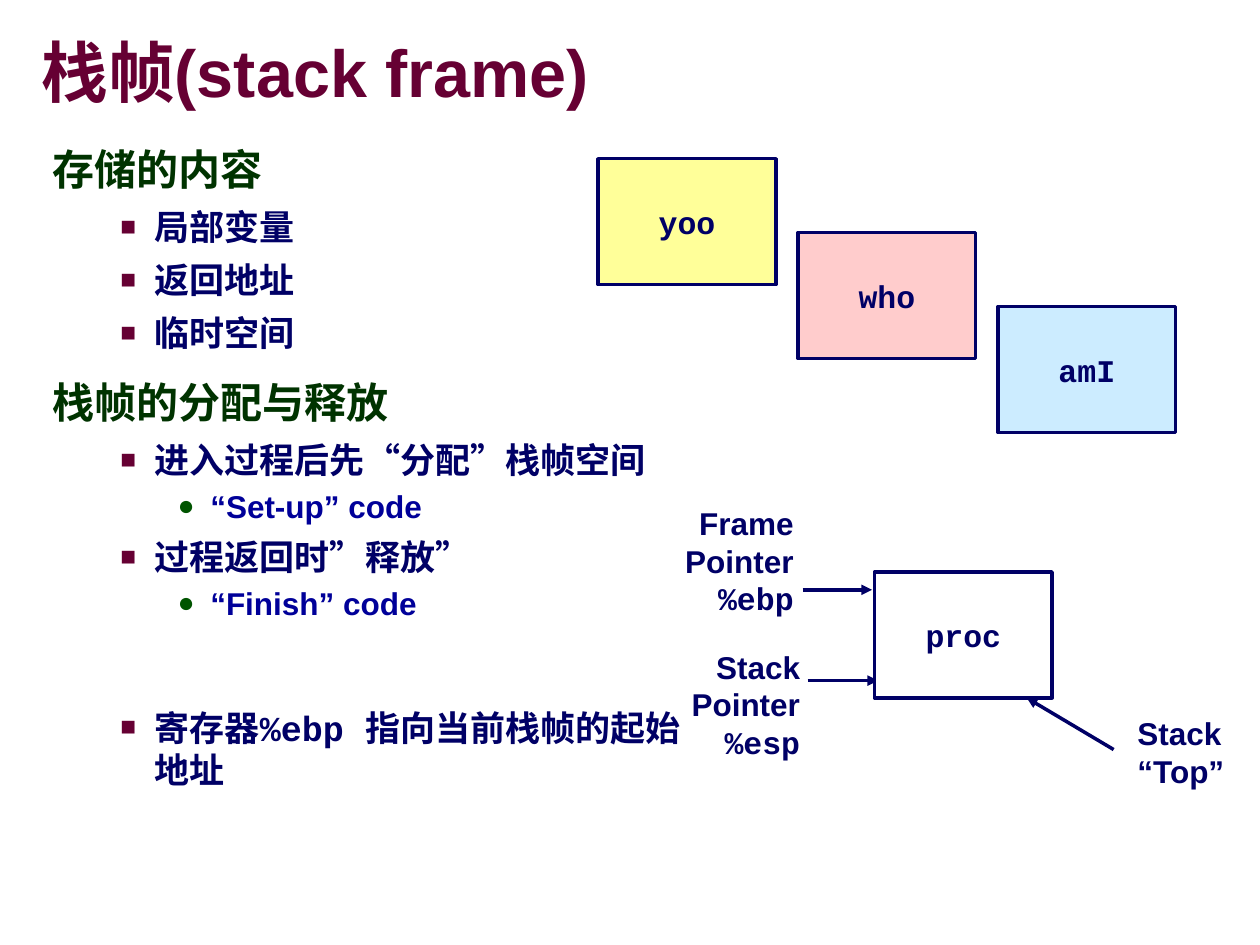
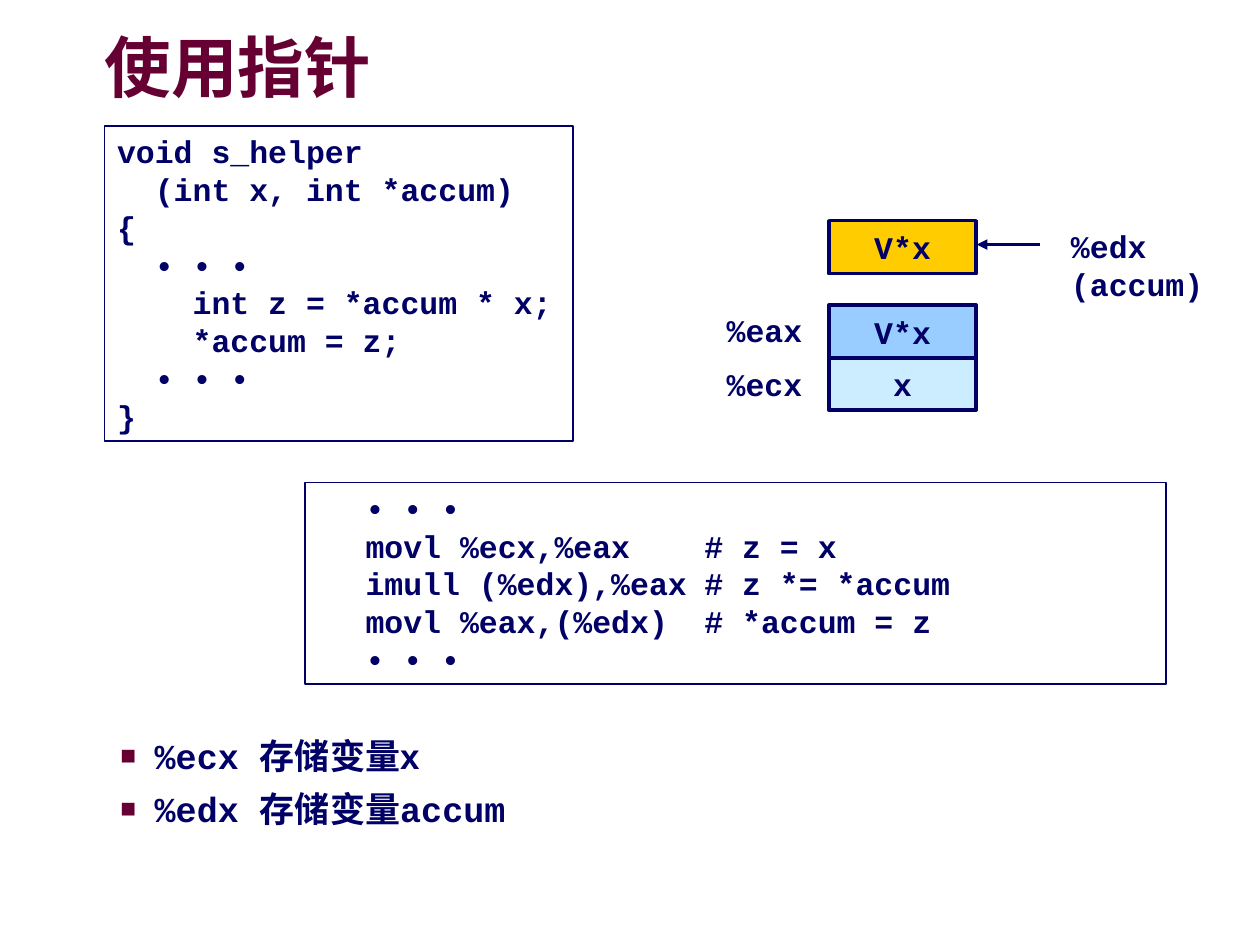
"""Builds two lecture slides on stack frames and pointers."""
from lxml import etree
from pptx import Presentation
from pptx.dml.color import RGBColor
from pptx.enum.shapes import MSO_CONNECTOR, MSO_SHAPE
from pptx.enum.text import MSO_ANCHOR, MSO_AUTO_SIZE, PP_ALIGN
from pptx.oxml.ns import qn
from pptx.util import Cm, Pt

LEFT, MID, RIGHT = PP_ALIGN.LEFT, PP_ALIGN.CENTER, PP_ALIGN.RIGHT
TOP, CENTER = MSO_ANCHOR.TOP, MSO_ANCHOR.MIDDLE
FIXED = MSO_AUTO_SIZE.NONE
RECT, LINE = MSO_SHAPE.RECTANGLE, MSO_CONNECTOR.STRAIGHT


class Theme:
    sans, mono = "Arial", "Courier New"
    navy = RGBColor.from_string("000066")
    blue = RGBColor.from_string("000099")
    wine = RGBColor.from_string("660033")
    green = RGBColor.from_string("003300")
    yellow = RGBColor.from_string("FFFF99")
    pink = RGBColor.from_string("FFCCCC")
    sky = RGBColor.from_string("CCECFF")
    azure = RGBColor.from_string("99CCFF")
    gold = RGBColor.from_string("FFCC00")
    white = RGBColor.from_string("FFFFFF")
    leaf, shade = "005400", "969696"
    title, head, item, text = Pt(38), Pt(24), Pt(20), Pt(18)
    thick, thin = Pt(2), Pt(1)


def put(slide, at, rows, face=Theme.mono, align=LEFT, fill=None, line=None, anchor=TOP):
    """Add a text box, or a rectangle if a line width is given."""
    place = [Cm(n) for n in at]
    if line:
        shape = slide.shapes.add_shape(RECT, *place)
        shape.shadow.inherit = False
        shape.line.color.rgb = Theme.navy
        shape.line.width = line
        if fill is None:
            shape.fill.background()
        else:
            shape.fill.solid()
            shape.fill.fore_color.rgb = fill
    else:
        shape = slide.shapes.add_textbox(*place)
    frame = shape.text_frame
    frame.word_wrap = False
    frame.auto_size = FIXED
    frame.vertical_anchor = anchor
    frame.text = "\n".join(rows)
    for para in frame.paragraphs:
        para.alignment = align
        para.font.name = face
        para.font.size = Theme.text
        para.font.bold = True
        para.font.color.rgb = Theme.navy
    return frame


def arrow(slide, *ends):
    """Add a line with an arrowhead at its end."""
    link = slide.shapes.add_connector(LINE, *[Cm(n) for n in ends])
    link.line.color.rgb = Theme.navy
    link.line.width = Theme.thick
    etree.SubElement(link.line._get_or_add_ln(), qn("a:tailEnd"), type="triangle")
    etree.SubElement(link._element.spPr, qn("a:effectLst"))


levels = [
    (Theme.head, Theme.green, 15, 0.95, 1.07, 1.07, None),
    (Theme.item, Theme.navy, 6.2, 1.0, 2.06, 0.69, ("■", str(Theme.wine), "75000")),
    (Theme.text, Theme.blue, 2.2, 1.07, 3.18, 0.66, ("●", Theme.leaf, "90000")),
]
pages = [
    ("栈帧(stack frame)", (0.84, 0.74, 13.97, 1.6), (0.81, 2.84, 13.39, 14.5), [
        (0, ["存储的内容"], 0),
        (1, ["局部变量"], None),
        (1, ["返回地址"], None),
        (1, ["临时空间"], None),
        (0, ["栈帧的分配与释放"], None),
        (1, ["进入过程后先“分配”栈帧空间"], None),
        (2, ["“Set-up” code"], None),
        (1, ["过程返回时”释放”"], None),
        (2, ["“Finish” code"], None),
        (1, ["寄存器", "%ebp ", "指向当前栈帧的起始地址"], 48),
    ]),
    ("使用指针", (2.11, 0.64, 14.88, 1.6), (0.81, 14.68, 23.09, 3.23), [
        (1, ["%ecx ", "存储变量x"], 0),
        (1, ["%edx ", "存储变量", "accum"], None),
    ]),
]

deck = Presentation()
deck.slide_width, deck.slide_height = Cm(25.4), Cm(19.05)

for title, spot, area, rows in pages:
    slide = deck.slides.add_slide(deck.slide_layouts[5])
    head = slide.shapes.title
    head.left, head.top, head.width, head.height = [Cm(n) for n in spot]
    frame = head.text_frame
    frame.text = title
    frame.auto_size = FIXED
    frame.vertical_anchor = CENTER
    frame.margin_left = frame.margin_right = frame.margin_top = frame.margin_bottom = 0
    para = frame.paragraphs[0]
    para.alignment = LEFT
    para.line_spacing = 0.87
    para.font.name = Theme.sans
    para.font.size = Theme.title
    para.font.bold = True
    para.font.color.rgb = Theme.wine
    props = para.runs[0]._r.get_or_add_rPr()
    glow = etree.SubElement(props, qn("a:effectLst"))
    cast = etree.SubElement(glow, qn("a:outerShdw"), dist="53882", dir="2700000")
    etree.SubElement(cast, qn("a:srgbClr"), val=Theme.shade)

    frame = slide.shapes.add_textbox(*[Cm(n) for n in area]).text_frame
    frame.word_wrap = True
    for n, (level, parts, gap) in enumerate(rows):
        size, color, before, space, left, hang, mark = levels[level]
        para = frame.paragraphs[0] if n == 0 else frame.add_paragraph()
        para.space_before = Pt(before if gap is None else gap)
        para.line_spacing = space
        props = para._p.get_or_add_pPr()
        props.set("marL", str(Cm(left)))
        props.set("indent", str(-Cm(hang)))
        if mark:
            sign, tint, scale = mark
            paint = etree.SubElement(props, qn("a:buClr"))
            etree.SubElement(paint, qn("a:srgbClr"), val=tint)
            etree.SubElement(props, qn("a:buSzPct"), val=scale)
            etree.SubElement(props, qn("a:buFont"), typeface=Theme.sans)
            etree.SubElement(props, qn("a:buChar"), char=sign)
        para.font.size = size
        para.font.bold = True
        para.font.color.rgb = color
        para.font.name = Theme.sans
        for part in parts:
            run = para.add_run()
            run.text = part
            if part.isascii():
                run.font.name = Theme.mono

stack, code = deck.slides

for ends in [(16.28, 13.72, 17.7, 13.72), (16.18, 11.89, 17.58, 11.89), (22.45, 15.11, 20.7, 14.07)]:
    arrow(stack, *ends)
for n, (name, fill) in enumerate([("yoo", Theme.yellow), ("who", Theme.pink), ("amI", Theme.sky)]):
    at = (12.06 + 4.03 * n, 3.2 + 1.49 * n, 3.58, 2.54)
    put(stack, at, [name], align=MID, fill=fill, line=Theme.thick, anchor=CENTER)
put(stack, (17.63, 11.53, 3.58, 2.54), ["proc"], align=MID, fill=Theme.white,
    line=Theme.thick, anchor=CENTER)
for left, top, kind, reg in [(13.56, 10.03, "Frame", "%ebp"), (13.69, 12.93, "Stack", "%esp")]:
    frame = put(stack, (left, top, 2.69, 2.54), [kind, "Pointer", reg], Theme.sans, RIGHT)
    frame.paragraphs[2].font.name = Theme.mono
put(stack, (22.68, 14.27, 2.31, 1.78), ["Stack", "“Top”"], Theme.sans)

put(code, (2.11, 2.54, 9.45, 6.35), [
    "void s_helper",
    "  (int x, int *accum)",
    "{",
    "  • • •",
    "    int z = *accum * x;",
    "    *accum = z;",
    "  • • •",
    "}",
], line=Theme.thin)
frame = put(code, (6.15, 9.73, 17.35, 4.06), [
    "\t• • •",
    "\tmovl %ecx,%eax\t# z = x",
    "\timull (%edx),%eax\t# z *= *accum",
    "\tmovl %eax,(%edx)\t# *accum = z",
    "\t• • •",
], line=Theme.thin)
for para in frame.paragraphs:
    props = para._p.get_or_add_pPr()
    tabs = etree.Element(qn("a:tabLst"))
    for stop in (0.97, 7.8):
        etree.SubElement(tabs, qn("a:tab"), pos=str(Cm(stop)), algn="l")
    props.find(qn("a:defRPr")).addprevious(tabs)

arrow(code, 20.96, 4.93, 19.69, 4.93)
put(code, (21.34, 4.45, 3.18, 1.78), ["%edx", "(accum)"])
for top, name, fill in [(4.45, "V*x", Theme.gold), (7.2, "x", Theme.sky), (6.15, "V*x", Theme.azure)]:
    put(code, (16.71, top, 2.97, 1.07), [name], align=MID, fill=fill, line=Theme.thick, anchor=CENTER)
for top, reg in [(6.15, "%eax"), (7.24, "%ecx")]:
    put(code, (14.4, top, 2.03, 1.02), [reg])

deck.save("out.pptx")
